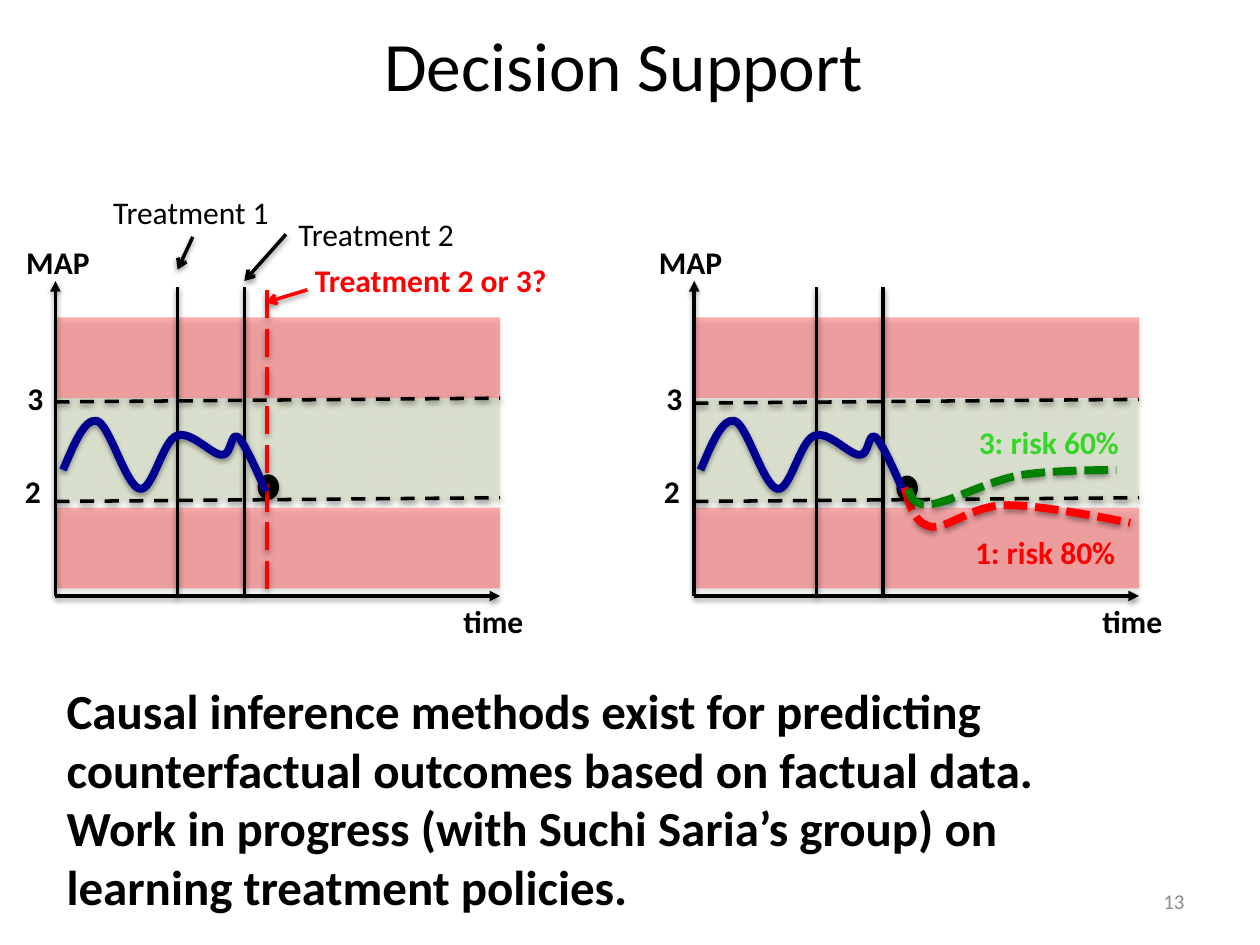
from lxml import etree
from pptx import Presentation, util as u
from pptx.dml.color import RGBColor
from pptx.enum import dml, shapes, text
from pptx.oxml import ns

C = {"black": "000000", "red": "FF0000", "band": "C3D69B", "navy": "000090",
     "green": "008000", "lime": "34D628", "gray": "8C8C8C"}
DASH = dml.MSO_LINE
LABEL = {"size": u.Pt(18), "bold": True, "name": "Calibri"}

prs = Presentation()
prs.slide_width, prs.slide_height = u.Inches(10), u.Inches(7.5)
s = prs.slides.add_slide(prs.slide_layouts[6])


def finish(sp, line=None, width=2, dash=None, head=None, tail=None, shade=38):
    if line:
        sp.line.color.rgb = RGBColor.from_string(C[line])
        sp.line.width = u.Pt(width)
        if dash:
            sp.line.dash_style = dash
        ln = sp.line._get_or_add_ln()
        for end, kind in (("headEnd", head), ("tailEnd", tail)):
            if kind:
                etree.SubElement(ln, ns.qn("a:" + end), type=kind)
    else:
        sp.line.fill.background()
    effects = etree.SubElement(sp._element.spPr, ns.qn("a:effectLst"))
    shadow = etree.SubElement(effects, ns.qn("a:outerShdw"), blurRad=str(u.Pt(3.1)),
                              dist=str(u.Pt(1.6 if shade == 38 else 1.8)),
                              dir="5400000", rotWithShape="0")
    color = etree.SubElement(shadow, ns.qn("a:srgbClr"), val=C["black"])
    etree.SubElement(color, ns.qn("a:alpha"), val=str(shade * 1000))


def label(lines, box, color="black", align=None, wrap=False, grow=True, **fmt):
    tf = s.shapes.add_textbox(*map(u.Inches, box)).text_frame
    tf.word_wrap = wrap
    tf.vertical_anchor = text.MSO_ANCHOR.TOP if grow else text.MSO_ANCHOR.MIDDLE
    tf.auto_size = text.MSO_AUTO_SIZE.SHAPE_TO_FIT_TEXT if grow else text.MSO_AUTO_SIZE.NONE
    for i, line in enumerate(lines):
        p = tf.paragraphs[0] if i == 0 else tf.add_paragraph()
        p.alignment = align
        r = p.add_run()
        r.text = line
        r.font.color.rgb = RGBColor.from_string(C[color])
        for name, value in {**LABEL, **fmt}.items():
            setattr(r.font, name, value)


history = [(0.06, 3.73), (0.15, 3.52), (0.23, 3.32), (0.33, 3.34), (0.43, 3.37),
           (0.56, 3.86), (0.67, 3.88), (0.77, 3.9), (0.85, 3.5), (0.96, 3.46),
           (1.07, 3.41), (1.24, 3.61), (1.32, 3.61), (1.4, 3.62), (1.39, 3.42),
           (1.45, 3.47), (1.51, 3.52), (1.67, 3.9), (1.67, 3.9)]
risk_80 = [(1.67, 3.87), (1.71, 4.01), (1.74, 4.15), (1.88, 4.18), (2.01, 4.2),
           (2.21, 4.01), (2.47, 4.01), (2.74, 4), (3.46, 4.15), (3.46, 4.15)]
risk_60 = [(1.7, 3.88), (1.72, 3.95), (1.74, 4.02), (1.89, 4), (2.04, 3.98),
           (2.35, 3.81), (2.6, 3.77), (2.84, 3.73), (3.35, 3.73), (3.35, 3.73)]

lines, curves = [], []
for x, map_x, curve_x, dy in ((0.44, 0.11, 0.44, 0), (5.51, 5.13, 5.5, 0.01)):
    for top, height, fill in ((3.16 + dy, 0.82, "band"), (4.03, 0.64, "red"),
                              (2.52, 0.64, "red")):
        sp = s.shapes.add_shape(shapes.MSO_SHAPE.RECTANGLE, u.Inches(x + 0.01),
                                u.Inches(top), u.Inches(3.52), u.Inches(height))
        sp.fill.solid()
        sp.fill.fore_color.rgb = RGBColor.from_string(C[fill])
        clr = sp._element.spPr.find(".//" + ns.qn("a:srgbClr"))
        etree.SubElement(clr, ns.qn("a:alpha"), val="31000")
        finish(sp, shade=35)
    dot = s.shapes.add_shape(shapes.MSO_SHAPE.OVAL, u.Inches(x + 1.61), u.Inches(3.77 + dy),
                             u.Inches(0.16), u.Inches(0.19))
    dot.fill.solid()
    dot.fill.fore_color.rgb = RGBColor.from_string(C["black"])
    finish(dot, "black", 0.75, shade=35)

    axis, limit = {"head": "triangle"}, {"dash": DASH.DASH}
    lines += [(x, 2.23, x, 4.73, "black", axis),
              (x + 3.53, 4.73, x, 4.73, "black", axis),
              (x, 3.98, x + 3.53, 3.95, "black", limit),
              (x, 3.19 + dy, x + 3.53, 3.16 + dy, "black", limit),
              (x + 0.97, 2.28, x + 0.97, 4.73, "black", {}),
              (x + 1.5, 2.28, x + 1.5, 4.73, "black", {})]
    curves.append((curve_x, history, "navy", None))
    label(["MAP"], (map_x, 1.88, 0.71, 0.4))
    label(["3"], (x - 0.32, 2.96, 0.33, 0.4))
    label(["2"], (x - 0.34, 3.7, 0.33, 0.4))
    label(["time"], (x + 3.14, 4.73, 0.68, 0.4))

arrow = {"tail": "arrow"}
lines += [(2.12, 2.3, 2.12, 4.75, "red", {"dash": DASH.LONG_DASH}),
          (2.27, 1.86, 1.94, 2.23, "black", arrow),
          (2.44, 2.3, 2.11, 2.4, "red", arrow),
          (1.53, 1.88, 1.41, 2.14, "black", arrow)]
for x1, y1, x2, y2, color, fmt in lines:
    ends = map(u.Inches, (x1, y1, x2, y2))
    finish(s.shapes.add_connector(shapes.MSO_CONNECTOR.STRAIGHT, *ends), color, **fmt)

curves += [(5.51, risk_80, "red", DASH.SQUARE_DOT), (5.51, risk_60, "green", DASH.SQUARE_DOT)]
for x, knots, color, dash in curves:
    points = [(u.Inches(x + px), u.Inches(py)) for px, py in knots]
    fb = s.shapes.build_freeform(*points[0])
    fb.add_line_segments(points[3::3], close=False)
    sp = fb.convert_to_shape()
    for i, seg in enumerate(list(sp._element.iter(ns.qn("a:lnTo")))):
        bezier = etree.Element(ns.qn("a:cubicBezTo"))
        for px, py in points[3 * i + 1:3 * i + 4]:
            etree.SubElement(bezier, ns.qn("a:pt"), x=str(px - sp.left), y=str(py - sp.top))
        seg.getparent().replace(seg, bezier)
    sp.fill.background()
    finish(sp, color, 4.5, dash)

label(["Treatment 1"], (0.8, 1.48, 1.47, 0.4), bold=False)
label(["Treatment 2"], (2.27, 1.66, 1.47, 0.4), bold=False)
label(["Treatment 2 or 3?"], (2.4, 2.02, 2.08, 0.4), "red")
label(["1: risk 80%"], (7.64, 4.18, 1.33, 0.4), "red")
label(["3: risk 60%"], (7.67, 3.31, 1.33, 0.4), "lime")

label(["Decision Support"], (0.45, 0.12, 9, 0.77), align=text.PP_ALIGN.CENTER, wrap=True,
      grow=False, size=u.Pt(39.6), bold=False)
label(["Causal inference methods exist for predicting counterfactual outcomes based on factual data.",
       "Work in progress (with Suchi Saria’s group) on learning treatment policies."],
      (0.43, 5.35, 8.61, 1.99), wrap=True, size=u.Pt(28))
label(["13"], (7.17, 6.95, 2.33, 0.4), "gray", text.PP_ALIGN.RIGHT, True, False,
      size=u.Pt(12), bold=False)

prs.save("out.pptx")
